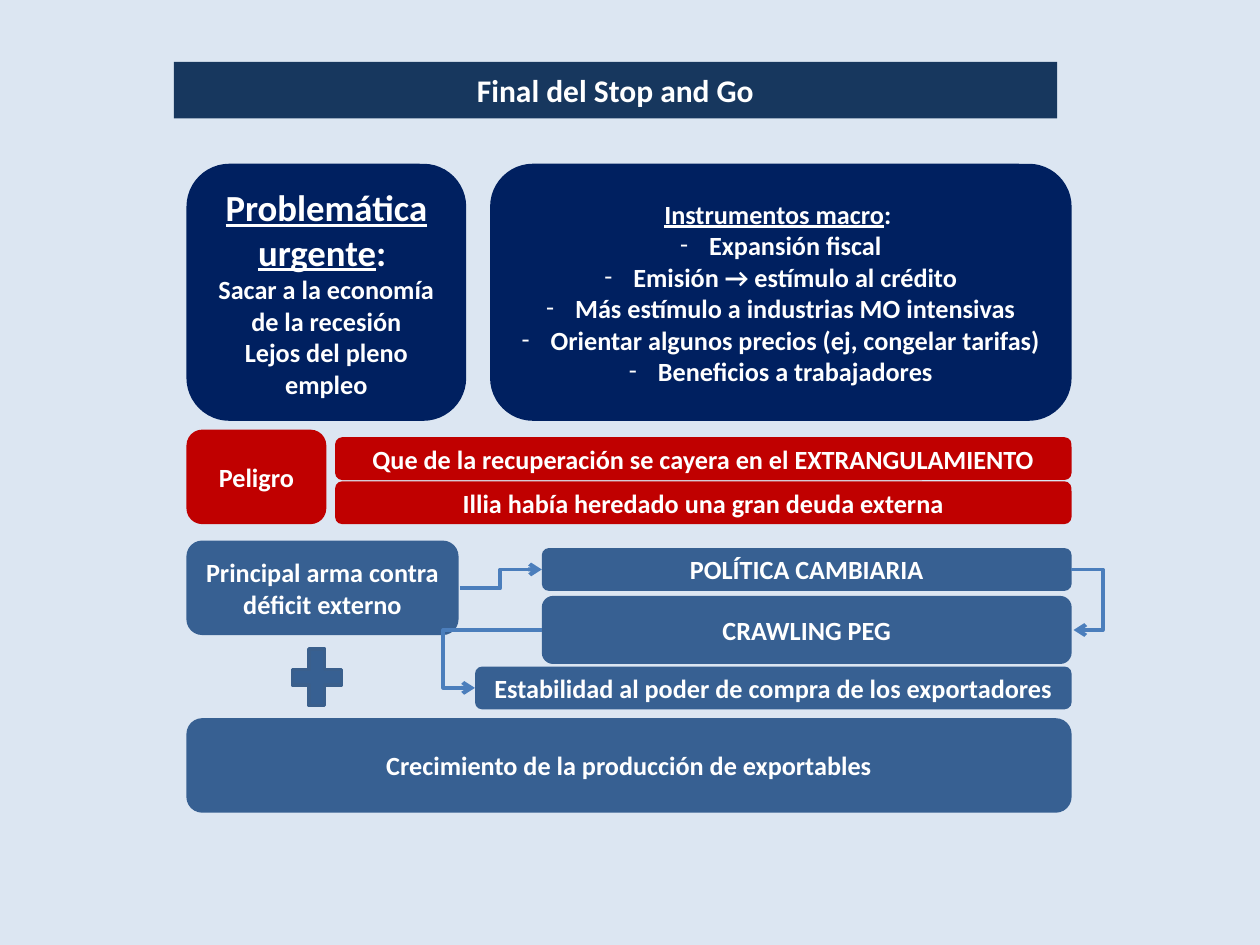
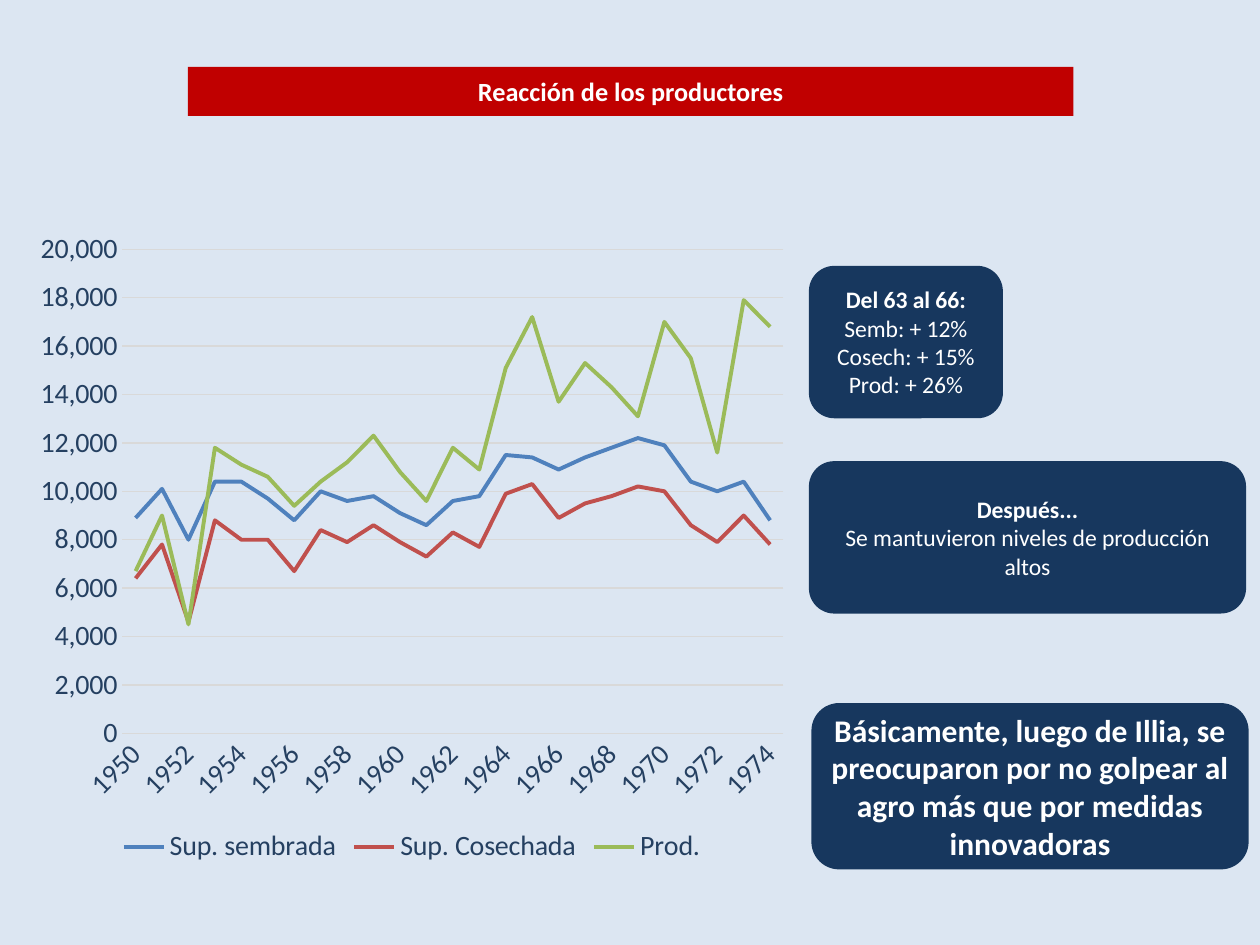
import dataclasses
import typing

import lxml.etree
import pptx
import pptx.chart.data
import pptx.dml.color
import pptx.enum.chart
import pptx.enum.shapes
import pptx.enum.text
import pptx.oxml
import pptx.oxml.ns
import pptx.util

RGBColor = pptx.dml.color.RGBColor
SHAPE = pptx.enum.shapes.MSO_SHAPE
Pt = pptx.util.Pt
qn = pptx.oxml.ns.qn

PALE = RGBColor(0xDC, 0xE6, 0xF2)
WHITE = RGBColor(0xFF, 0xFF, 0xFF)
DARK = RGBColor(0x17, 0x37, 0x5E)
NAVY = RGBColor(0x00, 0x20, 0x60)
RED = RGBColor(0xC0, 0x00, 0x00)
STEEL = RGBColor(0x37, 0x60, 0x92)
EDGE = RGBColor(0x3A, 0x5F, 0x8C)
ARROW = RGBColor(0x4B, 0x7E, 0xBC)
INK = RGBColor(0x25, 0x40, 0x61)
GREY = RGBColor(0xD9, 0xD9, 0xD9)
FONT = "Calibri"

# The grid has 100 columns and 75 rows of square cells.
WIDTH, HEIGHT = pptx.util.Inches(10), pptx.util.Inches(7.5)
CELL = WIDTH / 100
LEFT, RIGHT = 14.8, 85.05
SIDE = 64.2


class Para(typing.NamedTuple):
    text: str
    tail: str = ""
    size: float = 15
    bold: bool = True
    under: bool = False
    bullet: bool = False


class Area(typing.NamedTuple):
    col: float
    row: float
    wide: float
    high: float


@dataclasses.dataclass(frozen=True)
class Box:
    area: Area
    fill: RGBColor
    paras: tuple[Para, ...]


class Elbow(typing.NamedTuple):
    start: tuple[float, float]
    end: tuple[float, float]
    bend: float


def span(left: float, row: float, high: float) -> Area:
    """Give the area from a column to the right edge."""
    return Area(left, row, RIGHT - left, high)


FLOW = (
    Box(Area(LEFT, 13, 22.2, 20.4), NAVY, (
        Para("Problemática urgente", ": ", size=21, under=True),
        Para("Sacar a la economía de la recesión"),
        Para("Lejos del pleno empleo"))),
    Box(span(38.9, 13, 20.4), NAVY, (
        Para("Instrumentos macro", ": ", under=True),
        Para("Expansión fiscal", bullet=True),
        Para("Emisión → estímulo al crédito", bullet=True),
        Para("Más estímulo a industrias MO intensivas", bullet=True),
        Para("Orientar algunos precios (ej, congelar tarifas)", bullet=True),
        Para("Beneficios a trabajadores", bullet=True))),
    Box(Area(LEFT, 34.1, 11.1, 7.5), RED, (Para("Peligro"),)),
    Box(span(26.6, 34.7, 3.4), RED,
        (Para("Que de la recuperación se cayera en el EXTRANGULAMIENTO"),)),
    Box(span(26.6, 38.2, 3.4), RED,
        (Para("Illia había heredado una gran deuda externa"),)),
    Box(Area(LEFT, 42.9, 21.6, 7.5), STEEL,
        (Para("Principal arma contra déficit externo"),)),
    Box(span(43, 43.5, 3.4), STEEL, (Para("POLÍTICA CAMBIARIA"),)),
    Box(span(43, 47.3, 5.4), STEEL, (Para("CRAWLING PEG"),)),
    Box(span(37.7, 52.9, 3.4), STEEL,
        (Para("Estabilidad al poder de compra de los exportadores"),)),
    Box(span(LEFT, 57, 7.5), STEEL,
        (Para("Crecimiento de la producción de exportables"),)),
)
ELBOWS = (
    Elbow((36.5, 46.7), (43, 45.2), 39.7),
    Elbow((85, 45.2), (85.2, 50), 87.5),
    Elbow((43, 50), (37.7, 54.6), 35.2),
)
NOTES = (
    Box(Area(SIDE, 21.1, 15.4, 12.1), DARK, (
        Para("Del 63 al 66:", size=13.5),
        Para("Semb: + 12%", size=13.5, bold=False),
        Para("Cosech: + 15%", size=13.5, bold=False),
        Para("Prod: + 26%", size=13.5, bold=False))),
    Box(Area(SIDE, 36.6, 34.7, 12.1), DARK, (
        Para("Después...", size=13.5),
        Para("Se mantuvieron niveles de producción altos",
             size=13.5, bold=False))),
    Box(Area(SIDE + 0.2, 55.8, 34.7, 13.2), DARK, (
        Para("Básicamente, luego de Illia, se preocuparon por no golpear "
             "al agro más que por medidas innovadoras", size=18),)),
)
# Each series holds hundreds, one value a year from 1950.
CROPS = (
    ("Sup. sembrada", RGBColor(0x4F, 0x81, 0xBD),
     (89, 101, 80, 104, 104, 97, 88, 100, 96, 98, 91, 86, 96, 98, 115, 114,
      109, 114, 118, 122, 119, 104, 100, 104, 88)),
    ("Sup. Cosechada", RGBColor(0xC0, 0x50, 0x4D),
     (64, 78, 46, 88, 80, 80, 67, 84, 79, 86, 79, 73, 83, 77, 99, 103,
      89, 95, 98, 102, 100, 86, 79, 90, 78)),
    ("Prod.", RGBColor(0x9B, 0xBB, 0x59),
     (67, 90, 45, 118, 111, 106, 94, 104, 112, 123, 108, 96, 118, 109, 151,
      172, 137, 153, 143, 131, 170, 155, 116, 179, 168)),
)


def cells(*counts: float) -> list[int]:
    return [round(count * CELL) for count in counts]


def style(font, *, size: float, color: RGBColor, bold: bool = False,
          under: bool = False) -> None:
    font.name, font.size, font.bold = FONT, Pt(size), bold
    font.underline = under
    font.color.rgb = color


def write(line, text: str, **form) -> None:
    """Add a run of formatted text to a paragraph."""
    run = line.add_run()
    run.text = text
    style(run.font, **form)


def dash(line) -> None:
    props = line._p.get_or_add_pPr()
    indent = cells(2.3)[0]
    props.set("marL", str(indent))
    props.set("indent", str(-indent))
    lxml.etree.SubElement(props, qn("a:buFont"), typeface=FONT)
    lxml.etree.SubElement(props, qn("a:buChar"), char="-")


def fill_in(shape, box: Box) -> None:
    """Colour a shape and write its centred text."""
    shape.shadow.inherit = False
    shape.fill.solid()
    shape.fill.fore_color.rgb = box.fill
    shape.line.fill.background()
    frame = shape.text_frame
    frame.word_wrap = True
    frame.auto_size = pptx.enum.text.MSO_AUTO_SIZE.NONE
    frame.vertical_anchor = pptx.enum.text.MSO_ANCHOR.MIDDLE
    frame.margin_left, frame.margin_top = cells(0.75, 0.4)
    frame.margin_right, frame.margin_bottom = cells(0.75, 0.4)
    for rank, para in enumerate(box.paras):
        line = frame.add_paragraph() if rank else frame.paragraphs[0]
        line.alignment = pptx.enum.text.PP_ALIGN.CENTER
        if para.bullet:
            dash(line)
        form = {"size": para.size, "bold": para.bold, "color": WHITE}
        write(line, para.text, under=para.under, **form)
        if para.tail:
            write(line, para.tail, **form)


def draw_box(slide, box: Box) -> None:
    shape = slide.shapes.add_shape(SHAPE.ROUNDED_RECTANGLE, *cells(*box.area))
    fill_in(shape, box)


def draw_elbow(slide, elbow: Elbow) -> None:
    """Draw a bent arrow whose middle leg lies on the bend column."""
    link = slide.shapes.add_connector(
        pptx.enum.shapes.MSO_CONNECTOR.ELBOW,
        *cells(*elbow.start, *elbow.end))
    link.line.color.rgb = ARROW
    link.line.width = Pt(2.25)
    props = link._element.spPr
    share = (elbow.bend - elbow.start[0]) / (elbow.end[0] - elbow.start[0])
    guides = props.find(qn("a:prstGeom")).get_or_add_avLst()
    lxml.etree.SubElement(guides, qn("a:gd"), name="adj1",
                          fmla=f"val {round(share * 100000)}")
    lxml.etree.SubElement(props.find(qn("a:ln")), qn("a:tailEnd"),
                          type="arrow")
    lxml.etree.SubElement(props, qn("a:effectLst"))


def draw_plus(slide, area: Area) -> None:
    plus = slide.shapes.add_shape(SHAPE.MATH_PLUS, *cells(*area))
    plus.shadow.inherit = False
    plus.fill.solid()
    plus.fill.fore_color.rgb = STEEL
    plus.line.color.rgb = EDGE
    plus.line.width = Pt(2)


def draw_chart(slide, area: Area) -> None:
    data = pptx.chart.data.CategoryChartData(number_format="#,##0")
    data.categories = [str(year) for year in range(1950, 1975)]
    for name, _, hundreds in CROPS:
        data.add_series(name, [count * 100 for count in hundreds])
    chart = slide.shapes.add_chart(
        pptx.enum.chart.XL_CHART_TYPE.LINE, *cells(*area), data).chart
    style(chart.font, size=16, color=INK)
    chart.has_title = False
    chart.has_legend = True
    chart.legend.position = pptx.enum.chart.XL_LEGEND_POSITION.BOTTOM
    chart.legend.include_in_layout = False
    style(chart.legend.font, size=16, color=INK)
    years, sums = chart.category_axis, chart.value_axis
    for axis in (years, sums):
        axis.major_tick_mark = pptx.enum.chart.XL_TICK_MARK.NONE
        style(axis.tick_labels.font, size=16, color=INK)
    sums.format.line.fill.background()
    sums.maximum_scale, sums.minimum_scale, sums.major_unit = 20000, 0, 2000
    sums.tick_labels.number_format = "#,##0"
    sums.tick_labels.number_format_is_linked = False
    for line in (years.format.line, sums.major_gridlines.format.line):
        line.color.rgb = GREY
        line.width = Pt(0.75)
    for body in chart.element.xpath("//c:catAx//a:bodyPr"):
        body.set("rot", str(-45 * 60000))
    plot = chart.plots[0]
    plot.vary_by_categories = False
    for series, (_, color, _) in zip(plot.series, CROPS):
        series.smooth = False
        series.format.line.color.rgb = color
        series.format.line.width = Pt(2.25)


def start(deck, band: Box):
    """Add a slide with its background and rounded title band."""
    slide = deck.slides.add_slide(deck.slide_layouts[5])
    slide.background.fill.solid()
    slide.background.fill.fore_color.rgb = PALE
    title = slide.shapes.title
    title.left, title.top, title.width, title.height = cells(*band.area)
    shape = lxml.etree.SubElement(title._element.spPr, qn("a:prstGeom"),
                                  prst="roundRect")
    lxml.etree.SubElement(shape, qn("a:avLst"))
    # Placeholders have no shadow of their own to remove before the fill.
    fill_in(title, band)
    return slide


def main() -> None:
    deck = pptx.Presentation()
    deck.slide_width, deck.slide_height = WIDTH, HEIGHT

    slide = start(deck, Box(Area(13.8, 4.9, 70.1, 4.5), DARK,
                            (Para("Final del Stop and Go", size=18),)))
    for box in FLOW:
        draw_box(slide, box)
    for elbow in ELBOWS:
        draw_elbow(slide, elbow)
    draw_plus(slide, Area(22.5, 50.7, 5.3, 6.1))

    slide = start(deck, Box(Area(14.9, 5.3, 70.3, 3.9), RED,
                            (Para("Reacción de los productores"),)))
    draw_chart(slide, Area(2, 17.4, 61.4, 51.6))
    for box in NOTES:
        draw_box(slide, box)

    deck.save("out.pptx")


if __name__ == "__main__":
    main()
